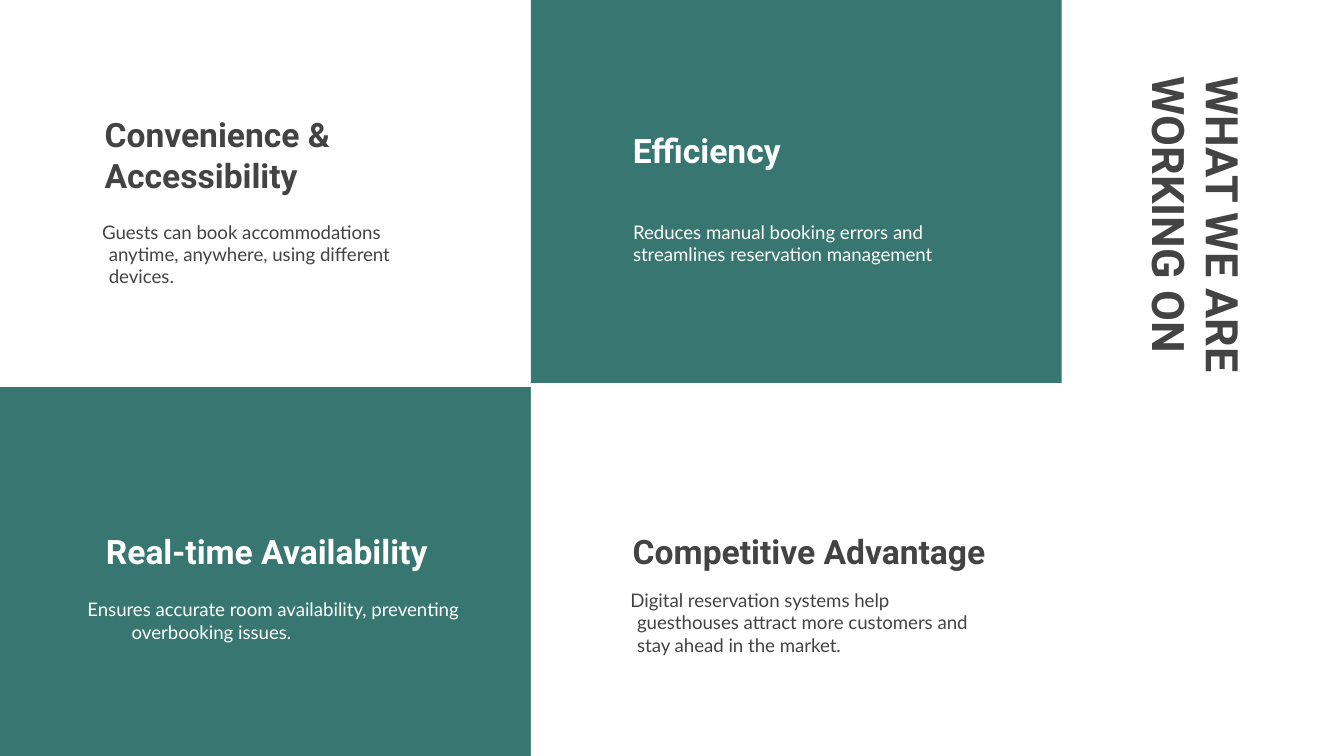
from pptx import Presentation
from pptx.dml.color import RGBColor
from pptx.enum.shapes import MSO_SHAPE as Shape
from pptx.enum.text import MSO_ANCHOR as Anchor, MSO_AUTO_SIZE as AutoSize, PP_ALIGN as Align
from pptx.oxml.ns import qn
from pptx.util import Inches, Pt
from lxml.etree import SubElement

GREEN, WHITE, DARK = "387771", "FFFFFF", "434343"
COLUMN_WIDTH = 3.95
ROW_TOP = 2.88

PANELS = [
    (COLUMN_WIDTH, -0.03, 2.88, GREEN),
    (0, ROW_TOP, 2.75, GREEN),
    (COLUMN_WIDTH, ROW_TOP, 2.75, WHITE),
]
HEADINGS = [
    ("Convenience & Accessibility", 0.68, 0.84, 3.14, DARK),
    ("Efficiency", 4.61, 0.66, 2.95, WHITE),
    ("Real-time Availability", 0.69, 3.64, 3.14, WHITE),
    ("Competitive Advantage", 4.61, 3.64, 2.83, DARK),
]
DESCRIPTIONS = [
    ("Guests can book accommodations anytime, anywhere, using different devices.",
     (0.21, 1.54, 3.2, 0.59), DARK, 0.5, -0.05),
    ("Reduces manual booking errors and streamlines reservation management",
     (4.61, 1.54, 2.83, 0.82), WHITE, 0, 0),
    ("Ensures accurate room availability, preventing overbooking issues.",
     (0.38, 4.35, 3.51, 1.03), WHITE, 0.5, -0.33),
    ("Digital reservation systems help guesthouses attract more customers and "
     "stay ahead in the market.",
     (4.14, 4.28, 3.29, 0.82), DARK, 0.5, -0.05),
]


def color(value):
    """Turn a hex string into a colour."""
    return RGBColor.from_string(value)


def place(shape, left, top, width, height):
    """Move and size a shape, in inches."""
    shape.left, shape.top = Inches(left), Inches(top)
    shape.width, shape.height = Inches(width), Inches(height)


def write(shape, text, font_name, size, text_color, bold, anchor, margin=0, indent=0):
    """Write one left-aligned paragraph without a bullet."""
    frame = shape.text_frame
    frame.word_wrap = True
    frame.auto_size = AutoSize.NONE
    frame.vertical_anchor = anchor
    frame.margin_left = frame.margin_right = Inches(0.1)
    frame.margin_top = frame.margin_bottom = Inches(0.1)
    paragraph = frame.paragraphs[0]
    properties = paragraph._p.get_or_add_pPr()
    properties.set("marL", str(Inches(margin)))
    properties.set("indent", str(Inches(indent)))
    SubElement(properties, qn("a:buNone"))
    paragraph.alignment = Align.LEFT
    paragraph.space_before = Pt(0)
    paragraph.line_spacing = 1.0
    run = paragraph.add_run()
    run.text = text
    run.font.name = font_name
    run.font.size = Pt(size)
    run.font.bold = bold
    run.font.color.rgb = color(text_color)


def add_panel(slide, left, top, height, fill):
    """Add a plain rectangle behind the title and descriptions."""
    panel = slide.shapes.add_shape(
        Shape.RECTANGLE, Inches(left), Inches(top), Inches(COLUMN_WIDTH), Inches(height))
    panel.shadow.inherit = False
    panel.fill.solid()
    panel.fill.fore_color.rgb = color(fill)
    panel.line.fill.background()
    slide.shapes.title.element.addprevious(panel.element)


def add_title(slide):
    """Fill the title placeholder and turn it sideways."""
    title = slide.shapes.title
    place(title, 7.31, 1.8, 3.19, 0.53)
    title.rotation = 90
    write(title, "WHAT WE ARE WORKING ON", "Roboto", 24, DARK, True, Anchor.MIDDLE)


def add_heading(slide, text, left, top, width, text_color):
    """Add the bold heading of one quadrant."""
    heading = slide.shapes.add_textbox(
        Inches(left), Inches(top), Inches(width), Inches(0.71))
    write(heading, text, "Roboto", 18, text_color, True, Anchor.BOTTOM)


def fill_description(placeholder, text, box, text_color, margin, indent):
    """Fill a body placeholder with the description of one quadrant."""
    place(placeholder, *box)
    write(placeholder, text, "Lato", 10, text_color, False, Anchor.TOP, margin, indent)


def main():
    """Build the slide and save it."""
    presentation = Presentation()
    presentation.slide_width = Inches(10)
    presentation.slide_height = Inches(10 * 9 / 16)
    layout = presentation.slide_layouts.get_by_name("Comparison")
    slide = presentation.slides.add_slide(layout)
    for panel in PANELS:
        add_panel(slide, *panel)
    add_title(slide)
    bodies = [shape for shape in slide.placeholders if 1 <= shape.placeholder_format.idx <= 4]
    for body, description in zip(bodies, DESCRIPTIONS):
        fill_description(body, *description)
    for heading in HEADINGS:
        add_heading(slide, *heading)
    presentation.save("out.pptx")


if __name__ == "__main__":
    main()
